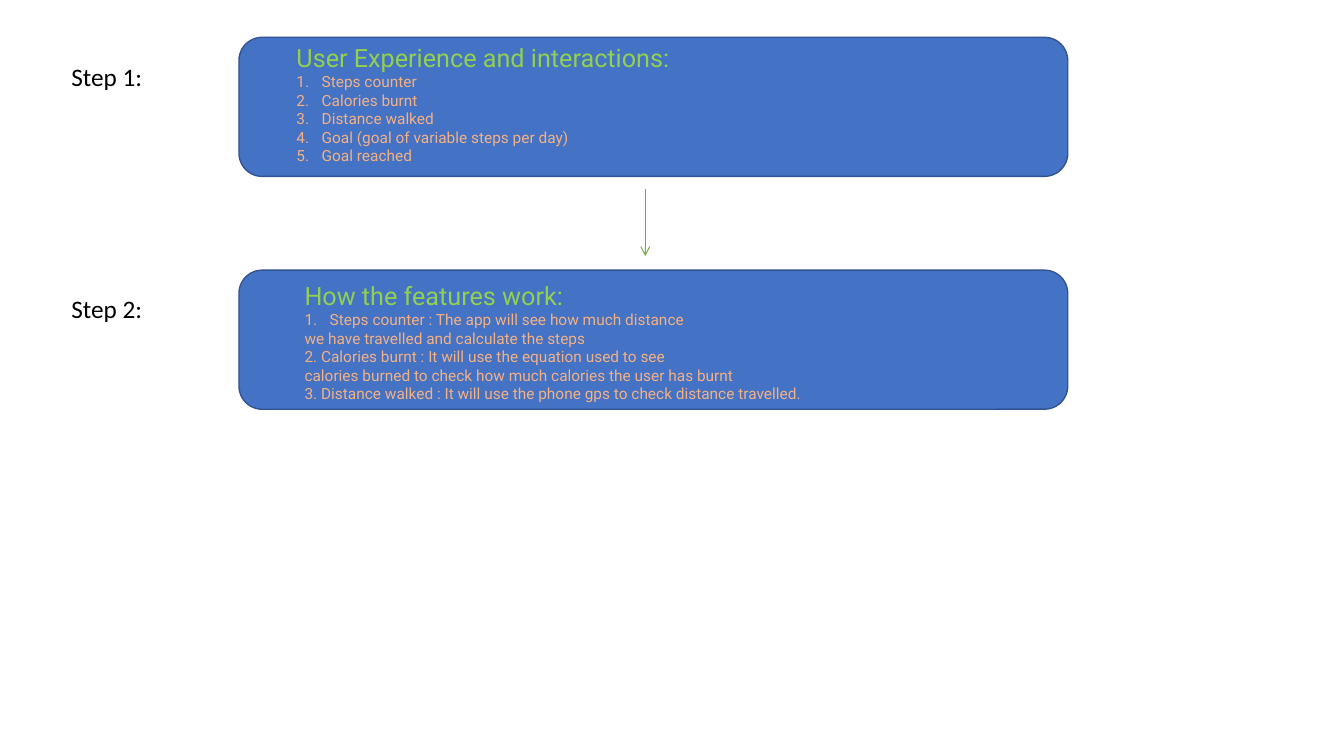
"""Build a slide with two app design steps joined by an arrow."""
from lxml import etree
from pptx import Presentation
from pptx.dml.color import RGBColor
from pptx.enum.shapes import MSO_CONNECTOR, MSO_SHAPE
from pptx.enum.text import MSO_ANCHOR, MSO_AUTO_SIZE
from pptx.oxml.ns import qn
from pptx.util import Inches, Pt

ROUND = MSO_SHAPE.ROUNDED_RECTANGLE
LINE = MSO_CONNECTOR.STRAIGHT
TOP = MSO_ANCHOR.TOP
FIXED = MSO_AUTO_SIZE.NONE
COLORS = {
    "card": "4472C4", "edge": "325491", "head": "92D050",
    "item": "F4B183", "arrow": "70AD47", "label": "000000",
}
STEPS = [
    {
        "label": "Step 1:", "top": 0.37, "label_top": 0.56,
        "list": (2.84, 0.37, 7.11, 1.51), "auto": 5,
        "head": "User Experience and interactions:",
        "items": [
            "Steps counter",
            "Calories burnt",
            "Distance walked",
            "Goal (goal of variable steps per day)",
            "Goal reached",
        ],
    },
    {
        "label": "Step 2:", "top": 2.68, "label_top": 2.86,
        "list": (2.92, 2.73, 7.11, 1.33), "auto": 1,
        "head": "How the features work:",
        "items": [
            "Steps counter : The app will see how much distance",
            "we have travelled and calculate the steps",
            "2. Calories burnt : It will use the equation used to see",
            "calories burned to check how much calories the user has burnt",
            "3. Distance walked : It will use the phone gps to check distance travelled.",
        ],
    },
]


class Board:
    """Hold the style and the current slide."""

    def __init__(self, slide):
        self.slide = slide
        self.shapes = slide.shapes

    def color(self, name):
        return RGBColor.from_string(COLORS[name])

    def style(self, para, size, name, face):
        for run in para.runs:
            run.font.size = Pt(size)
            run.font.name = face
            run.font.color.rgb = self.color(name)

    def card(self, x, y, w, h):
        card = self.shapes.add_shape(ROUND, Inches(x), Inches(y), Inches(w), Inches(h))
        card.shadow.inherit = False
        card.fill.solid()
        card.fill.fore_color.rgb = self.color("card")
        card.line.color.rgb = self.color("edge")
        card.line.width = Pt(1)

    def bullet(self, para, auto):
        props = para._p.get_or_add_pPr()
        shift = Inches(0.25) if auto else 0
        props.set("marL", str(shift))
        props.set("indent", str(-shift))
        if auto:
            etree.SubElement(props, qn("a:buFont"), typeface="+mj-lt")
            etree.SubElement(props, qn("a:buAutoNum"), type="arabicPeriod")
        else:
            etree.SubElement(props, qn("a:buNone"))

    def list(self, body, box, head, items, auto):
        body.left, body.top, body.width, body.height = map(Inches, box)
        self.shapes._spTree.append(body._element)
        frame = body.text_frame
        frame.text = "\n".join([head, *items])
        frame.word_wrap = True
        frame.auto_size = FIXED
        frame.vertical_anchor = TOP
        for row, para in enumerate(frame.paragraphs):
            para.space_before = Pt(0)
            self.bullet(para, 1 <= row <= auto)
            size, name = (11, "item") if row else (18, "head")
            self.style(para, size, name, "Roboto")

    def label(self, text, x, y, w, h):
        box = self.shapes.add_textbox(Inches(x), Inches(y), Inches(w), Inches(h))
        box.text_frame.word_wrap = True
        box.text_frame.text = text
        self.style(box.text_frame.paragraphs[0], 18, "label", "Calibri")

    def arrow(self, x, start, end):
        line = self.shapes.add_connector(LINE, Inches(x), Inches(start), Inches(x), Inches(end))
        line.line.color.rgb = self.color("arrow")
        line.line.width = Pt(0.75)
        etree.SubElement(line.line._get_or_add_ln(), qn("a:tailEnd"), type="arrow")
        etree.SubElement(line._element.spPr, qn("a:effectLst"))


deck = Presentation()
deck.slide_width, deck.slide_height = Inches(13.33), Inches(7.5)
slide = deck.slides.add_slide(deck.slide_layouts[3])
title, *bodies = slide.placeholders
title._element.getparent().remove(title._element)
board = Board(slide)
for step, body in zip(STEPS, bodies):
    board.card(2.37, step["top"], 8.22, 1.38)
    board.list(body, step["list"], step["head"], step["items"], step["auto"])
    board.label(step["label"], 0.61, step["label_top"], 1.49, 0.4)
board.arrow(6.4, 1.88, 2.54)
deck.save("out.pptx")
